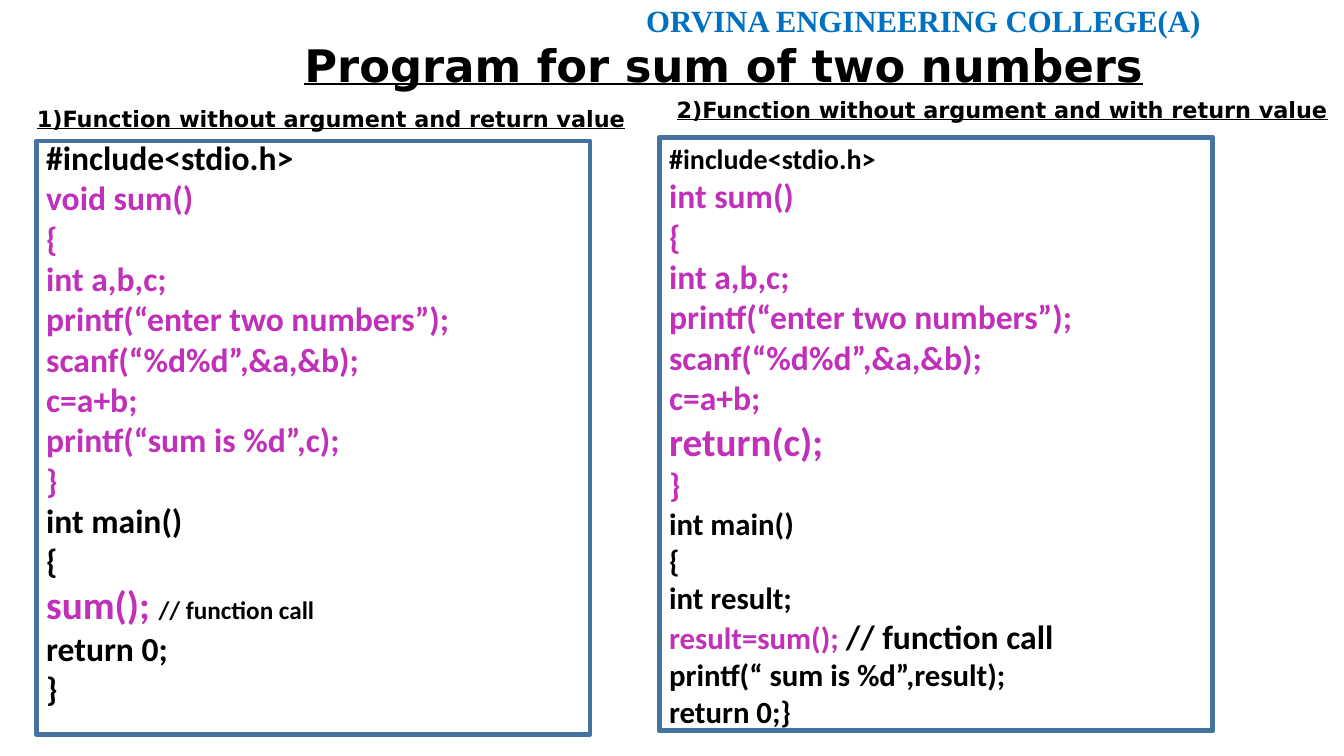
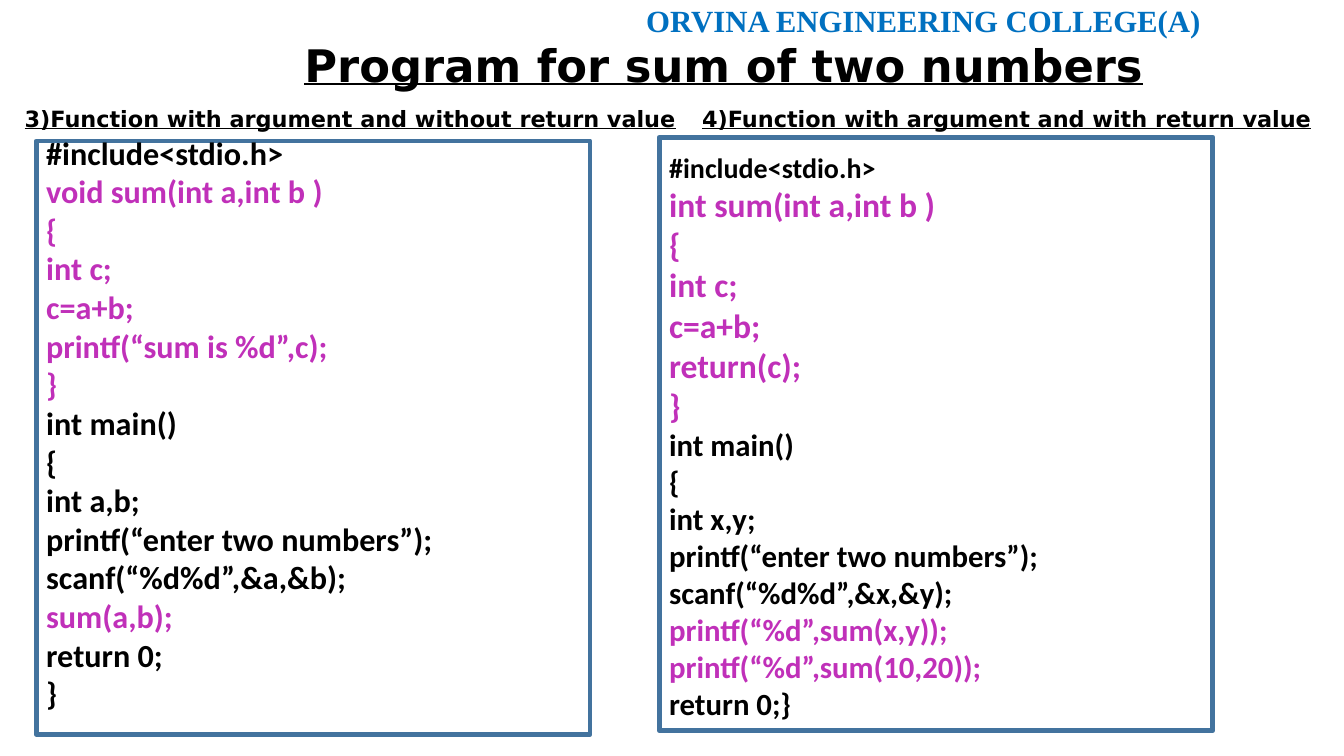
import pptx
import pptx.dml.color
import pptx.enum.shapes
import pptx.enum.text
import pptx.util

BLACK, PURPLE, BLUE, STEEL = "000000", "C030B9", "0070C0", "43739E"
CODE_FONT, TITLE_FONT, HEADER_FONT = "Calibri", "DejaVu Sans", "Times New Roman"
HEADER = "ORVINA ENGINEERING COLLEGE(A)"
TITLE = "Program for sum of two numbers"
TITLE_ONLY = 5
LINE_HEIGHT = 1.2


def colour(value):
    return pptx.dml.color.RGBColor.from_string(value)


class Deck:
    """Style and current page; places are in columns and rows of a 100 by 100 grid."""

    def __init__(self):
        self.file = pptx.Presentation()
        self.file.slide_width = pptx.util.Inches(13.33)
        self.file.slide_height = pptx.util.Inches(7.5)
        self.layout = self.file.slide_layouts[TITLE_ONLY]
        self.page = None

    def place(self, left, top, width, height):
        column, row = self.file.slide_width / 100, self.file.slide_height / 100
        return [int(n) for n in (left * column, top * row, width * column, height * row)]

    def style(self, font, name, size, value, underline=None):
        font.name, font.size, font.bold = name, pptx.util.Pt(size), True
        font.underline = underline
        font.color.rgb = colour(value)

    def add_page(self):
        first = self.page is None
        self.page = self.file.slides.add_slide(self.layout)
        if first:
            self.share_header()
        self.title()

    def share_header(self):
        """Put the college name on the layout, so that every page shows it."""
        box = self.page.shapes.add_textbox(*self.place(36.25, -0.4, 53.8, 6.3))
        box.text_frame.word_wrap = True
        para = box.text_frame.paragraphs[0]
        para.text = HEADER
        para.alignment = pptx.enum.text.PP_ALIGN.RIGHT
        self.style(para.font, HEADER_FONT, 22, BLUE)
        self.layout.shapes.element.append(box.element)

    def title(self):
        box = self.page.shapes.title
        box.left, box.top, box.width, box.height = self.place(21.9, 4.3, 66.7, 8.5)
        self.underlined(box, TITLE, 32)

    def heading(self, left, top, width, text):
        box = self.page.shapes.add_textbox(*self.place(left, top, width, 4.9))
        self.underlined(box, text, 16)

    def underlined(self, box, text, size):
        frame = box.text_frame
        frame.word_wrap = False
        frame.auto_size = pptx.enum.text.MSO_AUTO_SIZE.NONE
        frame.vertical_anchor = pptx.enum.text.MSO_ANCHOR.TOP
        para = frame.paragraphs[0]
        para.text = text
        para.alignment = pptx.enum.text.PP_ALIGN.LEFT
        self.style(para.font, TITLE_FONT, size, BLACK, underline=True)

    def code(self, left, top, blocks, lead=0):
        """Frame a listing; lead is the size of the blank line kept above it."""
        box = self.page.shapes.add_shape(
            pptx.enum.shapes.MSO_SHAPE.RECTANGLE, *self.place(left, top, 41.2, 78.5))
        box.shadow.inherit = False
        box.fill.background()
        box.line.color.rgb = colour(STEEL)
        box.line.width = pptx.util.Pt(3.5)
        frame = box.text_frame
        frame.word_wrap = True
        frame.vertical_anchor = pptx.enum.text.MSO_ANCHOR.MIDDLE
        frame.margin_top = pptx.util.Pt(3.6 + lead * LINE_HEIGHT)
        frame.margin_bottom = pptx.util.Pt(3.6 + 18 * LINE_HEIGHT)
        para = None
        for size, value, lines, *comment in blocks:
            for line in lines.split("\n"):
                para = frame.add_paragraph() if para else frame.paragraphs[0]
                para.text = line
                para.alignment = pptx.enum.text.PP_ALIGN.LEFT
                self.style(para.font, CODE_FONT, size, value)
            for comment_size in comment:
                span = para.add_run()
                span.text = "// function call"
                self.style(span.font, CODE_FONT, comment_size, BLACK)


# A block is a size, a colour, its lines and, if a comment ends it, the comment's size.
NO_ARGUMENT_NO_RETURN = [
    (24, BLACK, "#include<stdio.h>"),
    (24, PURPLE, """void sum()
{
int a,b,c;
printf(“enter two numbers”);
scanf(“%d%d”,&a,&b);
c=a+b;
printf(“sum is %d”,c);
}"""),
    (24, BLACK, "int main()\n{"),
    (28, PURPLE, "sum(); ", 18),
    (24, BLACK, "return 0;\n}"),
]
NO_ARGUMENT_RETURN = [
    (20, BLACK, "#include<stdio.h>"),
    (24, PURPLE, """int sum()
{
int a,b,c;
printf(“enter two numbers”);
scanf(“%d%d”,&a,&b);
c=a+b;"""),
    (28, PURPLE, "return(c);"),
    (24, PURPLE, "}"),
    (22, BLACK, "int main()\n{\nint result;"),
    (22, PURPLE, "result=sum(); ", 24),
    (22, BLACK, "printf(“ sum is %d”,result);\nreturn 0;}"),
]
ARGUMENT_NO_RETURN = [
    (23, BLACK, "#include<stdio.h>"),
    (23, PURPLE, """void sum(int a,int b )
{
int c;
c=a+b;
printf(“sum is %d”,c);
}"""),
    (23, BLACK, """int main()
{
int a,b;
printf(“enter two numbers”);
scanf(“%d%d”,&a,&b);"""),
    (23, PURPLE, "sum(a,b);"),
    (23, BLACK, "return 0;\n}"),
]
ARGUMENT_RETURN = [
    (20, BLACK, "#include<stdio.h>"),
    (24, PURPLE, """int sum(int a,int b )
{
int c;
c=a+b;
return(c);
}"""),
    (22, BLACK, """int main()
{
int x,y;
printf(“enter two numbers”);
scanf(“%d%d”,&x,&y);"""),
    (22, PURPLE, "printf(“%d”,sum(x,y));\nprintf(“%d”,sum(10,20));"),
    (22, BLACK, "return 0;}"),
]

# Each page: left heading and code, then right heading and code.
PAGES = [
    ((2, 13.2, 45.8, "1)Function without argument and return value"), NO_ARGUMENT_NO_RETURN,
     (49.6, 12, 50.6, "2)Function without argument and with return value"), NO_ARGUMENT_RETURN),
    ((1.1, 13.2, 50.6, "3)Function with argument and without return value"), ARGUMENT_NO_RETURN,
     (51.5, 13.2, 47.4, "4)Function with argument and with return value"), ARGUMENT_RETURN),
]


def main():
    deck = Deck()
    for left_heading, left_code, right_heading, right_code in PAGES:
        deck.add_page()
        deck.code(2.7, 18.65, left_code)
        deck.code(49.05, 18.15, right_code, lead=20)
        deck.heading(*left_heading)
        deck.heading(*right_heading)
    deck.file.save("out.pptx")


if __name__ == "__main__":
    main()
